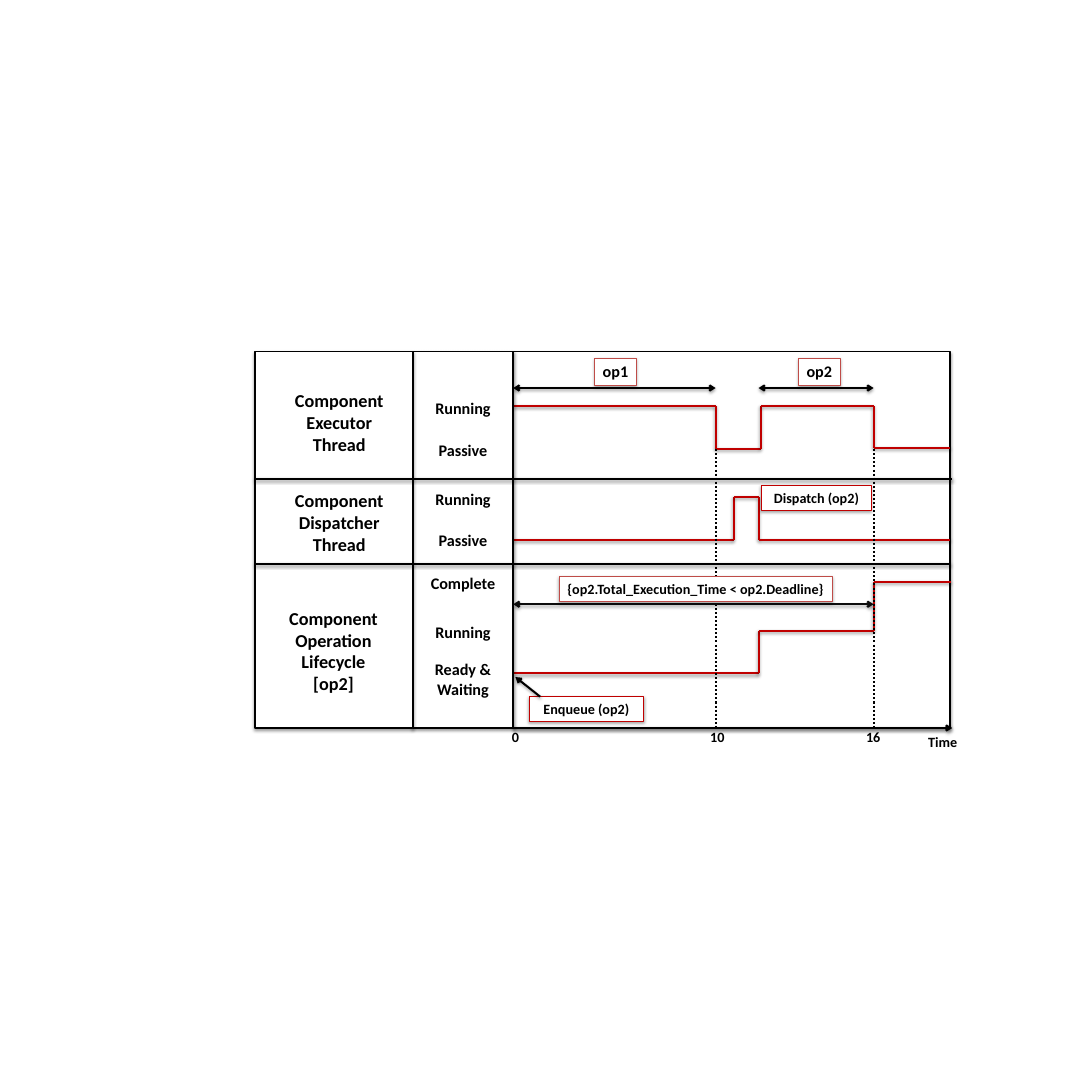
"""Timing diagram of component threads and an operation lifecycle."""
from dataclasses import dataclass
from itertools import pairwise

from lxml import etree
from pptx import Presentation
from pptx import util as u
from pptx.dml.color import RGBColor
from pptx.enum import dml, shapes, text
from pptx.oxml.ns import qn


@dataclass(frozen=True)
class Theme:
    """Colours, type sizes and line widths."""
    font: str = "Calibri"
    black: str = "000000"
    near_black: str = "0D0D0D"
    white: str = "FFFFFF"
    signal: str = "C00000"
    op_edge: str = "BF4C48"
    thread_size: int = 18
    state_size: int = 16
    note_size: int = 14
    frame_width: float = 1.5
    line_width: float = 2
    box_width: float = 0.75


T = Theme()
LEFT, STATES, START, RIGHT = 3.5, 5.67, 7.05, 13.05
TOP, BOTTOM = 4.83, 10
OP1_END, DISPATCH, OP2_START, OP2_END = 9.83, 10.08, 10.42, 12


def set_all(obj, values):
    """Set attributes of an object from a dict."""
    for name, value in values.items():
        setattr(obj, name, value)


def set_shadow(shape, alpha=None, dist=1.6):
    """Give a shape a soft downward shadow, or none without alpha."""
    pr = shape._element.spPr
    effects = etree.SubElement(pr, qn("a:effectLst"))
    if alpha:
        shadow = etree.SubElement(effects, qn("a:outerShdw"), {
            "blurRad": str(u.Pt(3.1)), "dist": str(u.Pt(dist)),
            "dir": "5400000", "rotWithShape": "0"})
        clr = etree.SubElement(shadow, qn("a:srgbClr"), val=T.black)
        etree.SubElement(clr, qn("a:alpha"), val=str(alpha * 1000))


def set_line(shape, color, width):
    """Set the line colour and width of a shape."""
    shape.line.color.rgb = RGBColor.from_string(color)
    shape.line.width = u.Pt(width)


def add_line(s, start, end, color=T.black, ends=(), dotted=False):
    """Draw a straight line, with arrows at the named ends."""
    cn = s.shapes.add_connector(shapes.MSO_CONNECTOR.STRAIGHT,
                                *map(u.Inches, (*start, *end)))
    set_line(cn, color, T.line_width)
    if dotted:
        cn.line.dash_style = dml.MSO_LINE.ROUND_DOT
    ln = cn.line._get_or_add_ln()
    for end_name in ends:
        etree.SubElement(ln, qn(f"a:{end_name}"), type="arrow")
    set_shadow(cn, None if dotted else 38)


def add_wave(s, points):
    """Draw a stepped signal through the points."""
    for start, end in pairwise(points):
        add_line(s, start, end, T.signal)


def add_rect(s, box, edge, width, alpha, dist):
    """Draw a white rectangle with a coloured edge."""
    sp = s.shapes.add_shape(shapes.MSO_SHAPE.RECTANGLE, *map(u.Inches, box))
    sp.fill.solid()
    sp.fill.fore_color.rgb = RGBColor.from_string(T.white)
    set_line(sp, edge, width)
    set_shadow(sp, alpha, dist)
    return sp


def add_column(s, left, right):
    """Draw one framed column of the diagram."""
    add_rect(s, (left, TOP, right - left, BOTTOM - TOP), T.black,
             T.frame_width, 38, 1.6)


def write(sp, words, size):
    """Write centred bold lines into a shape."""
    tf = sp.text_frame
    set_all(tf, {"word_wrap": False, "auto_size": text.MSO_AUTO_SIZE.NONE,
                 "vertical_anchor": text.MSO_ANCHOR.TOP})
    for i, line in enumerate(words.split("\n")):
        p = tf.add_paragraph() if i else tf.paragraphs[0]
        p.alignment = text.PP_ALIGN.CENTER
        r = p.add_run()
        r.text = line
        set_all(r.font, {"name": T.font, "size": u.Pt(size), "bold": True})
        r.font.color.rgb = RGBColor.from_string(T.black)


def add_label(s, words, box, size):
    """Place a plain label."""
    write(s.shapes.add_textbox(*map(u.Inches, box)), words, size)


def add_note(s, words, box, edge, size):
    """Place a boxed note."""
    write(add_rect(s, box, edge, T.box_width, 35, 1.8), words, size)


def main():
    """Build and save the slide."""
    prs = Presentation()
    set_all(prs, {"slide_width": u.Inches(15), "slide_height": u.Inches(15)})
    s = prs.slides.add_slide(prs.slide_layouts[6])

    add_column(s, START, RIGHT)
    add_line(s, (START, BOTTOM), (13.08, BOTTOM), ends=["tailEnd"])
    add_wave(s, [(START, 9.25), (OP2_START, 9.25), (OP2_START, 8.67),
                 (OP2_END, 8.67), (OP2_END, 7.99), (13.07, 7.99)])
    add_wave(s, [(START, 7.42), (DISPATCH, 7.42), (DISPATCH, 6.83),
                 (OP2_START, 6.83), (OP2_START, 7.42), (RIGHT, 7.42)])
    add_wave(s, [(START, 5.58), (OP1_END, 5.58), (OP1_END, 6.17),
                 (10.45, 6.17), (10.45, 5.58), (OP2_END, 5.58),
                 (OP2_END, 6.15), (RIGHT, 6.15)])

    add_column(s, STATES, START)
    for words, top in [("Running", 5.42), ("Passive", 6), ("Running", 6.67),
                       ("Passive", 7.24), ("Complete", 7.82),
                       ("Running", 8.5), ("Ready &\nWaiting", 9.01)]:
        height = 0.64 if "\n" in words else 0.37
        add_label(s, words, (5.82, top, 1.08, height), T.state_size)

    for x in (OP1_END, OP2_END):
        add_line(s, (x, 6.17), (x, BOTTOM), dotted=True)
    for words, left, top, width in [("0", 6.9, 9.96, 0.36),
                                    ("10", 9.64, 9.95, 0.43),
                                    ("16", 11.78, 9.95, 0.43),
                                    ("Time", 12.41, 10.03, 1.08)]:
        add_label(s, words, (left, top, width, 0.34), T.note_size)

    add_column(s, LEFT, STATES)
    for y, right in [(6.58, 13.08), (7.75, RIGHT)]:
        add_line(s, (LEFT, y), (right, y))
    for words, left, top, height in [
            ("Component\nExecutor\nThread", 3.82, 5.3, 1.01),
            ("Component\nDispatcher\nThread", 3.82, 6.67, 1.01),
            ("Component\nOperation\nLifecycle\n[op2]", 3.74, 8.29, 1.31)]:
        add_label(s, words, (left, top, 1.68, height), T.thread_size)

    for left, right, y, color in [(START, OP2_END, 8.3, T.near_black),
                                  (START, OP1_END, 5.33, T.black),
                                  (OP2_START, OP2_END, 5.33, T.black)]:
        add_line(s, (left, y), (right, y), color, ["headEnd", "tailEnd"])
    add_note(s, "Enqueue (op2)", (7.27, 9.57, 1.57, 0.34), T.signal,
             T.note_size)
    add_line(s, (7.42, 9.57), (7.08, 9.3), ends=["tailEnd"])
    for words, left in [("op1", 8.17), ("op2", 10.97)]:
        add_note(s, words, (left, 4.92, 0.57, 0.37), T.op_edge, T.state_size)
    add_note(s, "{op2.Total_Execution_Time < op2.Deadline}",
             (7.68, 7.92, 3.75, 0.34), T.op_edge, T.note_size)
    add_note(s, "Dispatch (op2)", (10.46, 6.67, 1.51, 0.34), T.signal,
             T.note_size)
    prs.save("out.pptx")


main()
